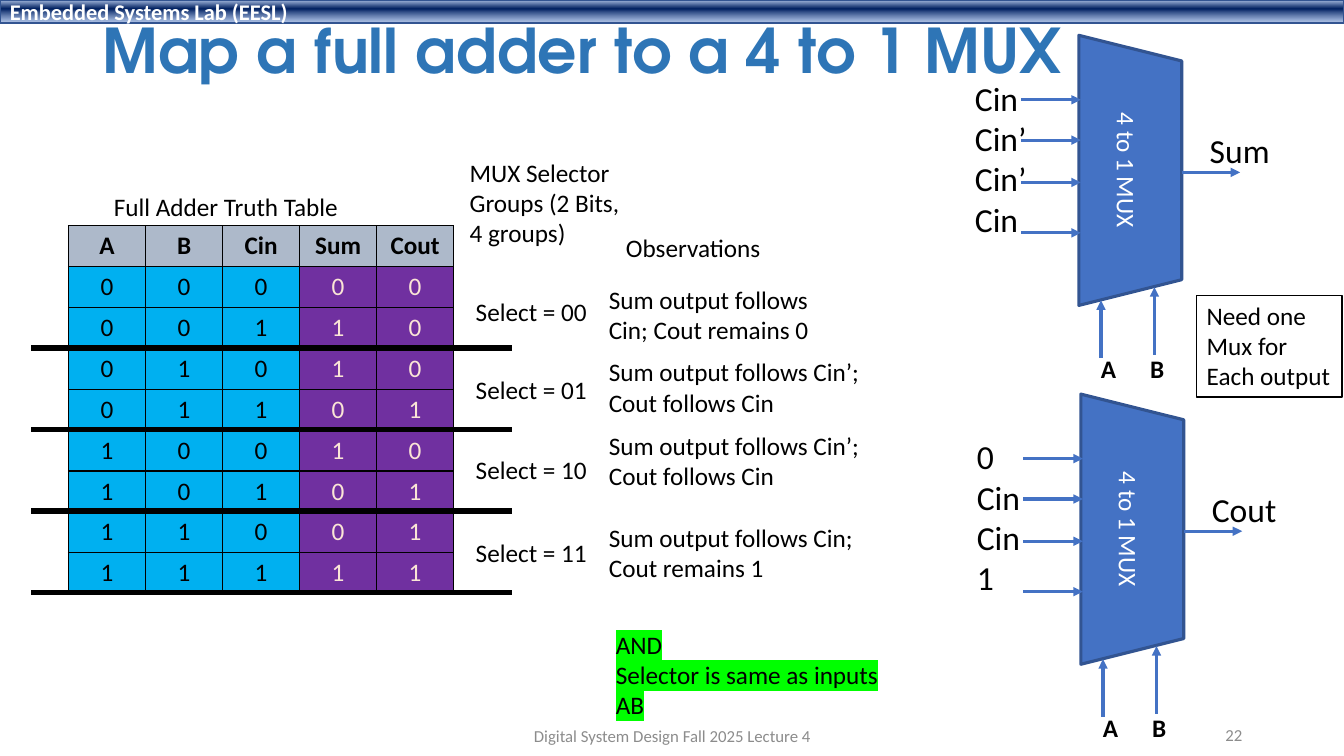
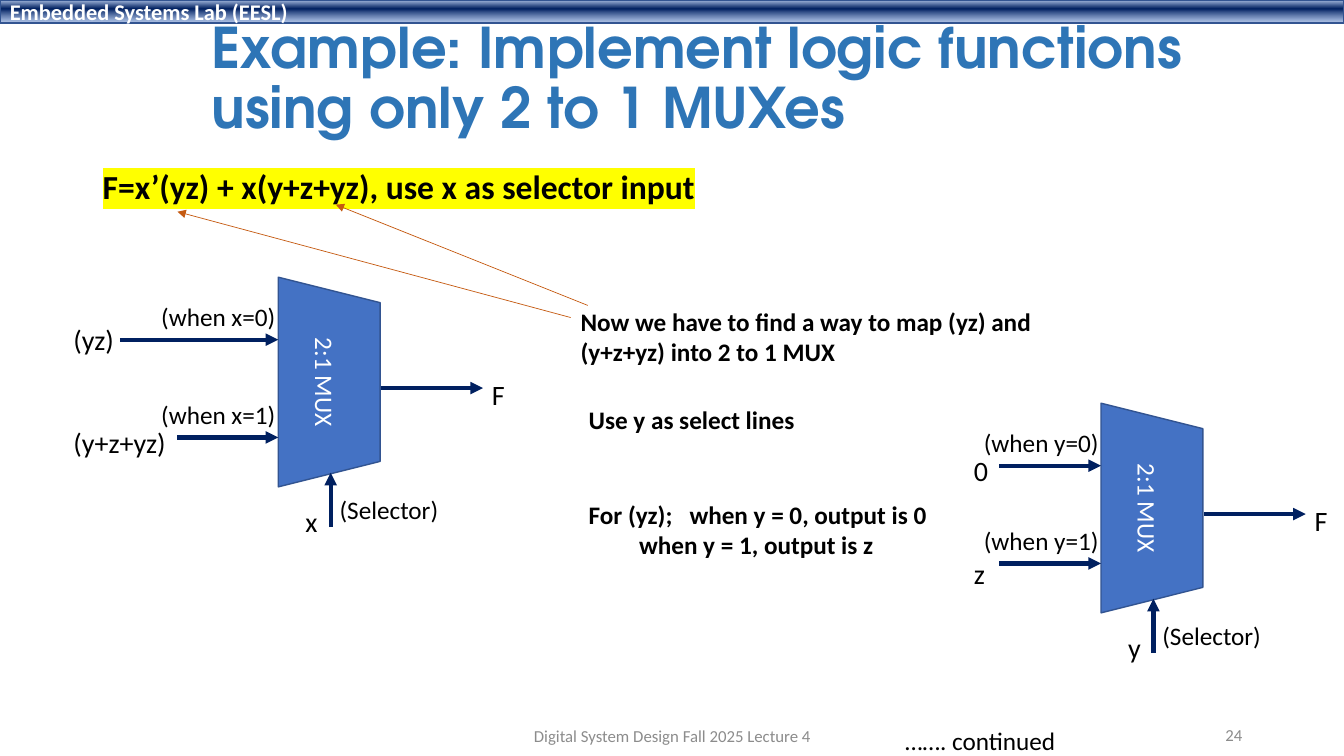
from itertools import product

from lxml import etree
from pptx import Presentation
from pptx.dml.color import RGBColor
from pptx.enum import shapes, text
from pptx.oxml.ns import qn
from pptx.util import Inches, Pt

BLUE, EDGE, NAVY, ORANGE = "4472C4", "325491", "002060", "C55A11"
BLACK, WHITE, GREY = "000000", "FFFFFF", "8C8C8C"
LEFT, CENTER, RIGHT = text.PP_ALIGN.LEFT, text.PP_ALIGN.CENTER, text.PP_ALIGN.RIGHT


def color(hex_value):
    return RGBColor.from_string(hex_value)


def inches(*values):
    return [Inches(v) for v in values]


def add_xml(parent, tag, **attributes):
    return etree.SubElement(parent, qn(tag), attributes)


class Deck:
    """Lecture style plus the slide being filled."""

    WIDTH, HEIGHT = 13.33, 7.5
    BODY = {"name": "Calibri", "size": Pt(18), "bold": False}
    TITLE = {"name": "TeX Gyre Adventor", "bold": True}
    BAND_STOPS = [(2, "ABC0E4", 100), (38, NAVY, 100), (93, "7E9ED6", 64)]

    def __init__(self):
        self.lecture = Presentation()
        self.lecture.slide_width, self.lecture.slide_height = inches(self.WIDTH, self.HEIGHT)
        self.layout = self.lecture.slide_layouts[5]
        self.slide = None

    # Shared parts
    def new_slide(self, title, place, size, number):
        self.slide = self.lecture.slides.add_slide(self.layout)
        if len(self.lecture.slides) == 1:
            self.layout.shapes.element.append(self.band().element)
        heading = self.slide.shapes.title
        self.place(heading, place)
        self.put_text(heading.text_frame, [title], "2E75B6", LEFT, text.MSO_ANCHOR.MIDDLE,
                      **{**self.TITLE, "size": Pt(size)})
        heading.text_frame.word_wrap = True
        heading.text_frame.auto_size = text.MSO_AUTO_SIZE.NONE
        heading.text_frame.paragraphs[0].line_spacing = 0.9
        self.footer("Digital System Design Fall 2025 Lecture 4", (4.42, 7.1, 4.5, 0.4), CENTER)
        self.footer(number, (9.42, 7.09, 3, 0.4), RIGHT)

    def band(self):
        band = self.shape(shapes.MSO_SHAPE.RECTANGLE, (0, 0, self.WIDTH, 0.23), BLUE, EDGE, 1)
        band.fill.gradient()
        band.fill.gradient_angle = 270
        stops = band.element.spPr.find(qn("a:gradFill")).find(qn("a:gsLst"))
        for old in list(stops):
            stops.remove(old)
        for position, hex_value, opacity in self.BAND_STOPS:
            stop = add_xml(stops, "a:gs", pos=str(position * 1000))
            tint = add_xml(stop, "a:srgbClr", val=hex_value)
            if opacity < 100:
                add_xml(tint, "a:alpha", val=str(opacity * 1000))
        self.put_text(band.text_frame, ["Embedded Systems Lab (EESL)"], WHITE, LEFT,
                      text.MSO_ANCHOR.MIDDLE, size=Pt(16), bold=True)
        return band

    def footer(self, words, place, align):
        frame = self.slide.shapes.add_textbox(*inches(*place)).text_frame
        frame.word_wrap = True
        self.put_text(frame, [words], GREY, align, text.MSO_ANCHOR.MIDDLE, size=Pt(12))

    # Elements
    @staticmethod
    def place(item, place):
        for side, value in zip(("left", "top", "width", "height"), inches(*place)):
            setattr(item, side, value)

    def put_text(self, frame, lines, ink=BLACK, align=LEFT, anchor=text.MSO_ANCHOR.TOP,
                 highlight=None, **changes):
        frame.vertical_anchor = anchor
        for index, line in enumerate(lines):
            paragraph = frame.add_paragraph() if index else frame.paragraphs[0]
            paragraph.alignment = align
            run = paragraph.add_run()
            run.text = line
            run.font.color.rgb = color(ink)
            for key, value in {**self.BODY, **changes}.items():
                setattr(run.font, key, value)
            if highlight:
                properties = run.font._element
                mark = add_xml(properties, "a:highlight")
                add_xml(mark, "a:srgbClr", val=highlight)
                properties.find(qn("a:solidFill")).addnext(mark)

    def label(self, place, *lines, size=18, wrap=False, **changes):
        frame = self.slide.shapes.add_textbox(*inches(*place)).text_frame
        frame.word_wrap = wrap
        frame.auto_size = text.MSO_AUTO_SIZE.SHAPE_TO_FIT_TEXT
        self.put_text(frame, lines, size=Pt(size), **changes)

    def shape(self, kind, place, fill, edge, weight):
        item = self.slide.shapes.add_shape(kind, *inches(*place))
        item.shadow.inherit = False
        item.fill.solid()
        item.fill.fore_color.rgb = color(fill)
        item.line.color.rgb = color(edge)
        item.line.width = Pt(weight)
        return item

    def line(self, start, end, ink, weight, arrow=True):
        item = self.slide.shapes.add_connector(
            shapes.MSO_CONNECTOR.STRAIGHT, *inches(*start, *end))
        item.line.color.rgb = color(ink)
        item.line.width = Pt(weight)
        if arrow:
            add_xml(item.element.spPr.find(qn("a:ln")), "a:tailEnd", type="triangle")
        add_xml(item.element.spPr, "a:effectLst")

    def mux(self, name, x, y, width, height, weight):
        """Trapezoid turned a quarter, with x, y its visible top left."""
        shift = (height - width) / 2
        body = self.shape(shapes.MSO_SHAPE.TRAPEZOID,
                          (x - shift, y + shift, height, width), BLUE, EDGE, weight)
        body.rotation = 90
        self.put_text(body.text_frame, [name], WHITE, CENTER, text.MSO_ANCHOR.MIDDLE)

    def table(self, place, rows, style):
        """style(row, column) gives fill, ink and bold."""
        grid = self.slide.shapes.add_table(len(rows), len(rows[0]), *inches(*place)).table
        grid.first_row = grid.horz_banding = False
        for r, row in enumerate(rows):
            for c, value in enumerate(row):
                cell = grid.cell(r, c)
                fill, ink, bold = style(r, c)
                self.put_text(cell.text_frame, [str(value)], ink, CENTER, bold=bold)
                borders = cell._tc.get_or_add_tcPr()
                for side in ("a:lnL", "a:lnR", "a:lnT", "a:lnB"):
                    border = add_xml(borders, side, w=str(Pt(1)))
                    add_xml(add_xml(border, "a:solidFill"), "a:srgbClr", val=BLACK)
                cell.fill.solid()
                cell.fill.fore_color.rgb = color(fill)


def four_to_one(deck, dx, dy, inputs, inputs_width, output, output_width):
    """4 to 1 MUX with its wires, moved by dx, dy."""
    deck.mux("4 to 1 MUX", 10.7 + dx, 0.35 + dy, 1.02, 2.68, 2.25)
    wires = [((10.13, y), (10.72, y)) for y in (0.99, 1.39, 1.81, 2.31)]
    wires += [((11.72, 1.71), (12.3, 1.71)),
              ((10.92, 3.55), (10.92, 2.98)), ((11.45, 3.52), (11.45, 2.85))]
    for (x1, y1), (x2, y2) in wires:
        deck.line((x1 + dx, y1 + dy), (x2 + dx, y2 + dy), BLUE, 2.25)
    deck.label((9.57 + dx, 0.72 + dy, inputs_width, 1.72), *inputs, size=24)
    deck.label((11.9 + dx, 1.24 + dy, output_width, 0.5), output, size=24)
    for selector, x in (("A", 10.82), ("B", 11.31)):
        deck.label((x + dx, 3.46 + dy, 0.33, 0.4), selector, bold=True)


def two_to_one(deck, x, y, selector, inputs):
    """2:1 MUX at x, y; inputs give label, its x, width and drop, and wire start."""
    deck.mux("2:1 MUX", x, y, 1.01, 2.08, 1)
    for index, (name, name_x, width, drop, start) in enumerate(inputs):
        wire_y = y + 0.62 + 0.97 * index
        deck.line((start, wire_y), (x, wire_y), NAVY, 3)
        deck.label((name_x, wire_y - drop, width, 0.44), name, size=20)
        deck.label((x - 1.26, wire_y - 0.43, 1.35, 0.4), f"(when {selector}={index})")
    deck.line((x + 1.02, y + 1.1), (x + 2.03, y + 1.1), NAVY, 3)
    deck.line((x + 0.52, y + 2.48), (x + 0.52, y + 1.94), NAVY, 3)
    deck.label((x + 0.17, y + 2.21, 0.33, 0.44), selector, size=20)
    deck.label((x + 2.02, y + 0.95, 0.33, 0.44), "F", size=20)
    deck.label((x + 0.51, y + 2.1, 1.19, 0.4), "(Selector)")


def adder_slide(deck):
    deck.new_slide("Map a full adder to a 4 to 1 MUX", (0.92, 0.15, 11.5, 0.77), 44, "22")

    # Truth table, split into selector groups
    def style(row, column):
        if row == 0:
            return "ADB9CA", BLACK, True
        return ("00B0F0", BLACK, False) if column < 3 else ("7030A0", "FBE5D6", False)

    rows = [("A", "B", "Cin", "Sum", "Cout")]
    rows += [(a, b, c, (a + b + c) % 2, (a + b + c) // 2)
             for a, b, c in product((0, 1), repeat=3)]
    deck.table((0.68, 2.24, 3.82, 3.65), rows, style)
    deck.label((1.03, 1.85, 2.45, 0.4), "Full Adder Truth Table")
    for group in range(4):
        y = 3.45 + 0.81 * group
        deck.line((0.31, y), (5.08, y), BLACK, 4, arrow=False)

    # Observations for each group
    deck.label((4.56, 1.51, 1.76, 1.01), "MUX Selector", "Groups (2 Bits,", "4 groups)")
    deck.label((6.11, 2.26, 1.55, 0.4), "Observations")
    observations = [
        ("00", 2.89, 2.77, 2.2, "Sum output follows", "Cin; Cout remains 0"),
        ("01", 3.66, 3.49, 2.77, "Sum output follows Cin’;", "Cout follows Cin"),
        ("10", 4.46, 4.22, 2.71, "Sum output follows Cin’;", "Cout follows Cin"),
        ("11", 5.28, 5.13, 2.71, "Sum output follows Cin;", "Cout remains 1"),
    ]
    for bits, select_y, note_y, note_width, *note in observations:
        deck.label((4.62, select_y, 1.32, 0.4), f"Select = {bits}")
        deck.label((5.94, note_y, note_width, 0.71), *note)
    deck.label((6.01, 6.19, 3.08, 1.01), "AND", "Selector is same as inputs AB",
               wrap=True, highlight="00FF00")

    # One MUX for each output
    four_to_one(deck, 0, 0, ("Cin", "Cin’", "Cin’", "Cin"), 0.72, "Sum", 0.8)
    four_to_one(deck, 0.02, 3.56, ("0", "Cin", "Cin", "1"), 0.63, "Cout", 0.85)
    remark = deck.shape(shapes.MSO_SHAPE.RECTANGLE, (11.87, 2.93, 1.44, 1.01), WHITE, BLACK, 1)
    remark.text_frame.word_wrap = False
    deck.put_text(remark.text_frame, ["Need one", "Mux for", "Each output"])


def example_slide(deck):
    deck.new_slide("Example: Implement logic functions using only 2 to 1 MUXes",
                   (2, 0.07, 10.52, 1.45), 40, "24")

    # Function and its MUX
    deck.label((0.92, 1.6, 6.14, 0.5), "F=x’(yz) + x(y+z+yz), use x as selector input",
               size=24, bold=True, highlight="FFFF00")
    two_to_one(deck, 2.76, 2.75, "x", [("(yz)", 0.63, 0.6, 0.22, 1.19),
                                       ("(y+z+yz)", 0.63, 1.13, 0.17, 1.76)])

    # Mapping steps
    deck.label((5.66, 2.99, 4.72, 0.71), "Now we have to find a way to map (yz) and",
               "(y+z+yz) into 2 to 1 MUX", bold=True)
    deck.label((5.74, 3.96, 2.26, 0.4), "Use y as select lines", bold=True)
    deck.label((5.74, 4.9, 3.59, 0.71), "For (yz); \twhen y = 0, output is 0",
               "\twhen y = 1, output is z", bold=True)
    deck.line((5.66, 3.15), (1.76, 2.1), ORANGE, 0.5)
    deck.line((5.83, 3.03), (3.33, 2.03), ORANGE, 0.5)

    # MUX for (yz)
    two_to_one(deck, 10.92, 4, "y", [("0", 9.56, 0.34, 0.17, 9.91),
                                     ("z", 9.56, 0.34, 0.12, 9.91)])
    deck.label((8.88, 7.15, 1.71, 0.4), "……. continued")


def main():
    deck = Deck()
    adder_slide(deck)
    example_slide(deck)
    deck.lecture.save("out.pptx")


if __name__ == "__main__":
    main()
